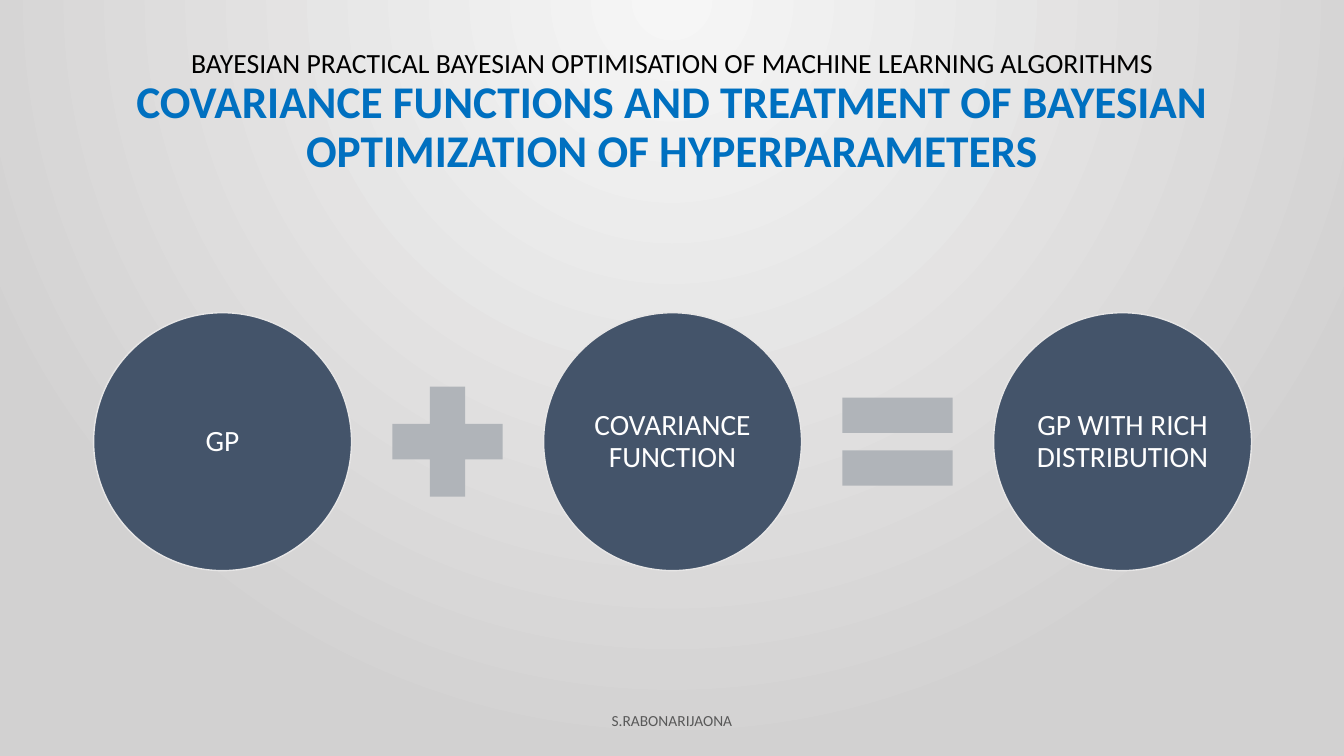
from lxml.etree import SubElement
from pptx import Presentation
from pptx.dml.color import RGBColor
from pptx.enum.shapes import MSO_SHAPE as Shape
from pptx.enum.text import MSO_ANCHOR as Anchor, PP_ALIGN as Align
from pptx.oxml.ns import qn
from pptx.util import Cm, Pt

BLACK = RGBColor(0x00, 0x00, 0x00)
WHITE = RGBColor(0xFF, 0xFF, 0xFF)
BLUE = RGBColor(0x00, 0x70, 0xC0)
SLATE = RGBColor(0x44, 0x54, 0x6A)
SILVER = RGBColor(0xE7, 0xE6, 0xE6)
SYMBOL_GREY = RGBColor(0xB0, 0xB4, 0xB9)
FOOTER_GREY = RGBColor(0x59, 0x59, 0x59)
BACKGROUND = [RGBColor(0xF6, 0xF6, 0xF6), RGBColor(0xD2, 0xD1, 0xD1)]

# Content: text with its format
TITLE = [
    ("BAYESIAN PRACTICAL BAYESIAN OPTIMISATION OF MACHINE LEARNING ALGORITHMS",
     {"size": Pt(19.8)}, BLACK),
    ("COVARIANCE FUNCTIONS AND TREATMENT OF BAYESIAN OPTIMIZATION OF HYPERPARAMETERS",
     {"size": Pt(32.4), "bold": True}, BLUE),
]
FOOTER = [("S.RABONARIJAONA", {"size": Pt(11)}, FOOTER_GREY)]
EQUATION = [
    (Shape.OVAL, "GP"),
    (Shape.MATH_PLUS, None),
    (Shape.OVAL, "COVARIANCE FUNCTION"),
    (Shape.MATH_EQUAL, None),
    (Shape.OVAL, "GP WITH RICH DISTRIBUTION"),
]

# Layout in centimetres
MIDDLE_X, MIDDLE_Y = 16.95, 11.13
STEP = 5.67
CIRCLE_SIZE, SYMBOL_SIZE = 6.5, 3.78


def write(frame, lines, spacing=1.0, inset=None):
    frame.word_wrap = True
    frame.vertical_anchor = Anchor.MIDDLE
    if inset is not None:
        for side in ("left", "top", "right", "bottom"):
            setattr(frame, f"margin_{side}", Cm(inset))
    paragraph = frame.paragraphs[0]
    paragraph.alignment = Align.CENTER
    paragraph.line_spacing = spacing
    for index, (text, font_format, color) in enumerate(lines):
        if index:
            paragraph.add_line_break()
        run = paragraph.add_run()
        run.text = text
        for name, value in {"name": "Calibri", **font_format}.items():
            setattr(run.font, name, value)
        run.font.color.rgb = color


presentation = Presentation()
presentation.slide_width, presentation.slide_height = Cm(33.87), Cm(19.05)
slide = presentation.slides.add_slide(presentation.slide_layouts[6])

# Background: radial gradient centred on the top edge
fill = slide.background.fill
fill.gradient()
for stop, color in zip(fill.gradient_stops, BACKGROUND):
    stop.color.rgb = color
gradient = slide.element.find(".//" + qn("a:gradFill"))
gradient.remove(gradient.find(qn("a:lin")))
radial = SubElement(gradient, qn("a:path"), {"path": "circle"})
SubElement(radial, qn("a:fillToRect"),
           {"l": "43000", "t": "0", "r": "43000", "b": "100000"})

# Title and footer
title = slide.shapes.add_textbox(Cm(2.33), Cm(1.01), Cm(29.21), Cm(3.68))
write(title.text_frame, TITLE, spacing=0.9)
footer = slide.shapes.add_textbox(Cm(11.22), Cm(17.66), Cm(11.43), Cm(1.01))
write(footer.text_frame, FOOTER)

# Equation: circles and operators at equal steps
for index, (kind, label) in enumerate(EQUATION):
    size = CIRCLE_SIZE if label else SYMBOL_SIZE
    center_x = MIDDLE_X + (index - len(EQUATION) // 2) * STEP
    shape = slide.shapes.add_shape(kind, Cm(center_x - size / 2),
                                   Cm(MIDDLE_Y - size / 2), Cm(size), Cm(size))
    shape.shadow.inherit = False
    shape.fill.solid()
    shape.fill.fore_color.rgb = SLATE if label else SYMBOL_GREY
    if label:
        shape.line.color.rgb = SILVER
        shape.line.width = Pt(1)
        write(shape.text_frame, [(label, {"size": Pt(21)}, WHITE)], 0.9, 0.07)
    else:
        shape.line.fill.background()

presentation.save("out.pptx")
